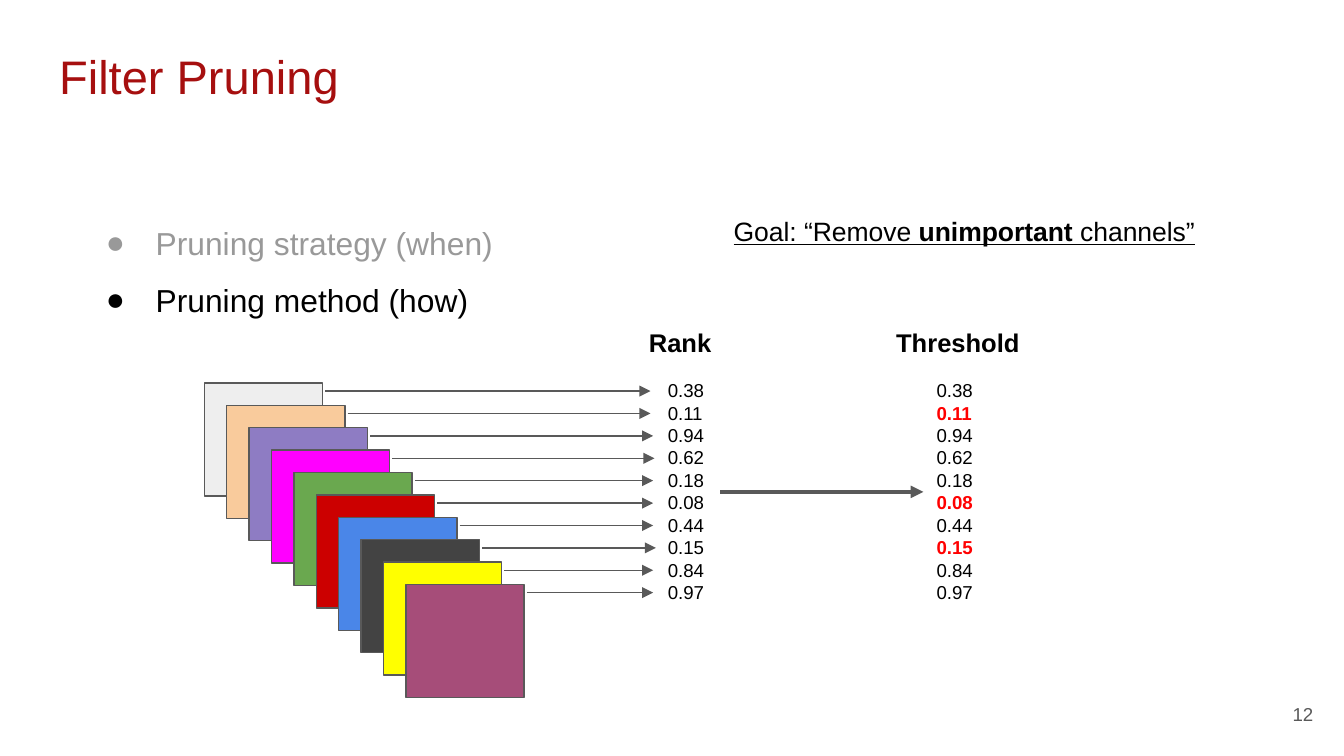
from dataclasses import dataclass
from pptx import Presentation
from pptx.dml.color import RGBColor
from pptx.enum.shapes import MSO_CONNECTOR, MSO_SHAPE
from pptx.enum.text import MSO_ANCHOR, MSO_AUTO_SIZE, PP_ALIGN
from pptx.oxml.ns import qn
from pptx.util import Inches, Pt
from lxml.etree import SubElement


@dataclass(frozen=True)
class Theme:
    font: str = "Arial"
    title: str = "A60F0F"
    ink: str = "000000"
    mute: str = "999999"
    line: str = "595959"
    drop: str = "FF0000"
    big: float = 25.2
    body: float = 17
    goal: float = 14.2
    head: float = 13.7
    small: float = 10


THEME = Theme()
FILLS = ("EEEEEE", "F9CB9C", "8E7CC3", "FF00FF", "6AA84F",
         "CC0000", "4A86E8", "434343", "FFFF00", "A64D79")
TIPS = (4.84, 4.84, 4.86, 4.87, 4.86, 4.86, 4.86, 4.88, 4.86, 4.86)
RANKS = ("0.38", "0.11", "0.94", "0.62", "0.18",
         "0.08", "0.44", "0.15", "0.84", "0.97")
CUTS = {"0.11", "0.08", "0.15"}
STEP = 1 / 6


def rgb(code):
    return RGBColor.from_string(code)


def add_bullet(para, color):
    props = para._p.get_or_add_pPr()
    props.set("marL", str(Inches(0.5)))
    props.set("indent", str(Inches(-0.37)))
    tint = SubElement(props, qn("a:buClr"))
    SubElement(tint, qn("a:srgbClr")).set("val", color)
    SubElement(props, qn("a:buFont")).set("typeface", THEME.font)
    SubElement(props, qn("a:buChar")).set("char", "●")


def write(slide, box, paras, size, shape=None, color=THEME.ink, bold=False,
          under=False, align=PP_ALIGN.LEFT, anchor=MSO_ANCHOR.TOP,
          bullet=False, space=None, wrap=True):
    """Fill a text box; each paragraph is a list of (text, overrides) runs."""
    area = [Inches(n) for n in box]
    shape = shape or slide.shapes.add_textbox(*area)
    shape.left, shape.top, shape.width, shape.height = area
    frame = shape.text_frame
    frame.word_wrap = wrap
    frame.auto_size = MSO_AUTO_SIZE.NONE
    frame.vertical_anchor = anchor
    frame.margin_left = frame.margin_right = Inches(0.1)
    frame.margin_top = frame.margin_bottom = Inches(0.1)
    for i, runs in enumerate(paras):
        para = frame.add_paragraph() if i else frame.paragraphs[0]
        para.alignment = align
        para.space_before = Pt(0)
        if space:
            para.line_spacing = space
        if bullet:
            add_bullet(para, runs[0][1].get("color", color))
        for text, style in runs:
            run = para.add_run()
            run.text = text
            font = run.font
            font.name, font.size = THEME.font, Pt(size)
            font.bold = style.get("bold", bold)
            font.underline = under
            font.color.rgb = rgb(style.get("color", color))


def add_arrow(slide, start, end, y, width=0.75):
    link = slide.shapes.add_connector(
        MSO_CONNECTOR.STRAIGHT, Inches(start), Inches(y), Inches(end), Inches(y))
    link.line.color.rgb = rgb(THEME.line)
    link.line.width = Pt(width)
    SubElement(link.line._get_or_add_ln(), qn("a:tailEnd")).set("type", "triangle")
    SubElement(link._element.spPr, qn("a:effectLst"))


def add_stack(slide, box):
    """Draw the overlapping filters, then one arrow from each to its tip."""
    left, top, width, height = box
    for i, fill in enumerate(FILLS):
        card = slide.shapes.add_shape(
            MSO_SHAPE.RECTANGLE, Inches(left + i * STEP), Inches(top + i * STEP),
            Inches(width), Inches(height))
        card.shadow.inherit = False
        card.fill.solid()
        card.fill.fore_color.rgb = rgb(fill)
        card.line.color.rgb = rgb(THEME.line)
        card.line.width = Pt(0.75)
    for i, tip in enumerate(TIPS):
        add_arrow(slide, left + width + 0.02 + i * STEP, tip, top + 0.06 + i * STEP)


def add_column(slide, box, head, shift, cuts=()):
    """Place a heading and, shifted right below it, the list of ranks."""
    left, top, width, height = box
    write(slide, (left, top, width, 0.39), [[(head, {})]], THEME.head,
          bold=True, wrap=False)
    mark = {"color": THEME.drop, "bold": True}
    rows = [[(rank, mark if rank in cuts else {})] for rank in RANKS]
    write(slide, (left + shift, top + 0.39, 0.49, height - 0.39), rows,
          THEME.small, wrap=False)


def add_intro(slide, box):
    """Place the title, the two topics and the goal."""
    left, top, width, height = box
    write(slide, (left, top, width, 0.63), [[("Filter Pruning", {})]],
          THEME.big, shape=slide.shapes.title, color=THEME.title)
    write(slide, (left + 0.22, top + 1.17, 4.48, height - 1.17),
          [[("Pruning strategy (when)", {"color": THEME.mute})],
           [("Pruning method (how)", {})]],
          THEME.body, bullet=True, space=1.5)
    write(slide, (left + 5.02, top + 1.25, 3.74, 0.48),
          [[("Goal: “Remove ", {}), ("unimportant", {"bold": True}),
            (" channels”", {})]], THEME.goal, under=True, wrap=False)


def main():
    deck = Presentation()
    deck.slide_width = Inches(10)
    deck.slide_height = deck.slide_width * 9 // 16
    slide = deck.slides.add_slide(deck.slide_layouts[5])
    add_intro(slide, (0.34, 0.25, 9.32, 2.09))
    add_stack(slide, (1.52, 2.85, 0.88, 0.84))
    add_column(slide, (4.73, 2.33, 0.77, 2.28), "Rank", 0.14)
    add_column(slide, (6.57, 2.33, 1.3, 2.28), "Threshold", 0.3, CUTS)
    add_arrow(slide, 5.36, 6.87, 3.66, 2.25)
    write(slide, (9.27, 5.1, 0.6, 0.43), [[("12", {})]], THEME.small,
          color=THEME.line, align=PP_ALIGN.RIGHT, anchor=MSO_ANCHOR.MIDDLE)
    deck.save("out.pptx")


if __name__ == "__main__":
    main()
